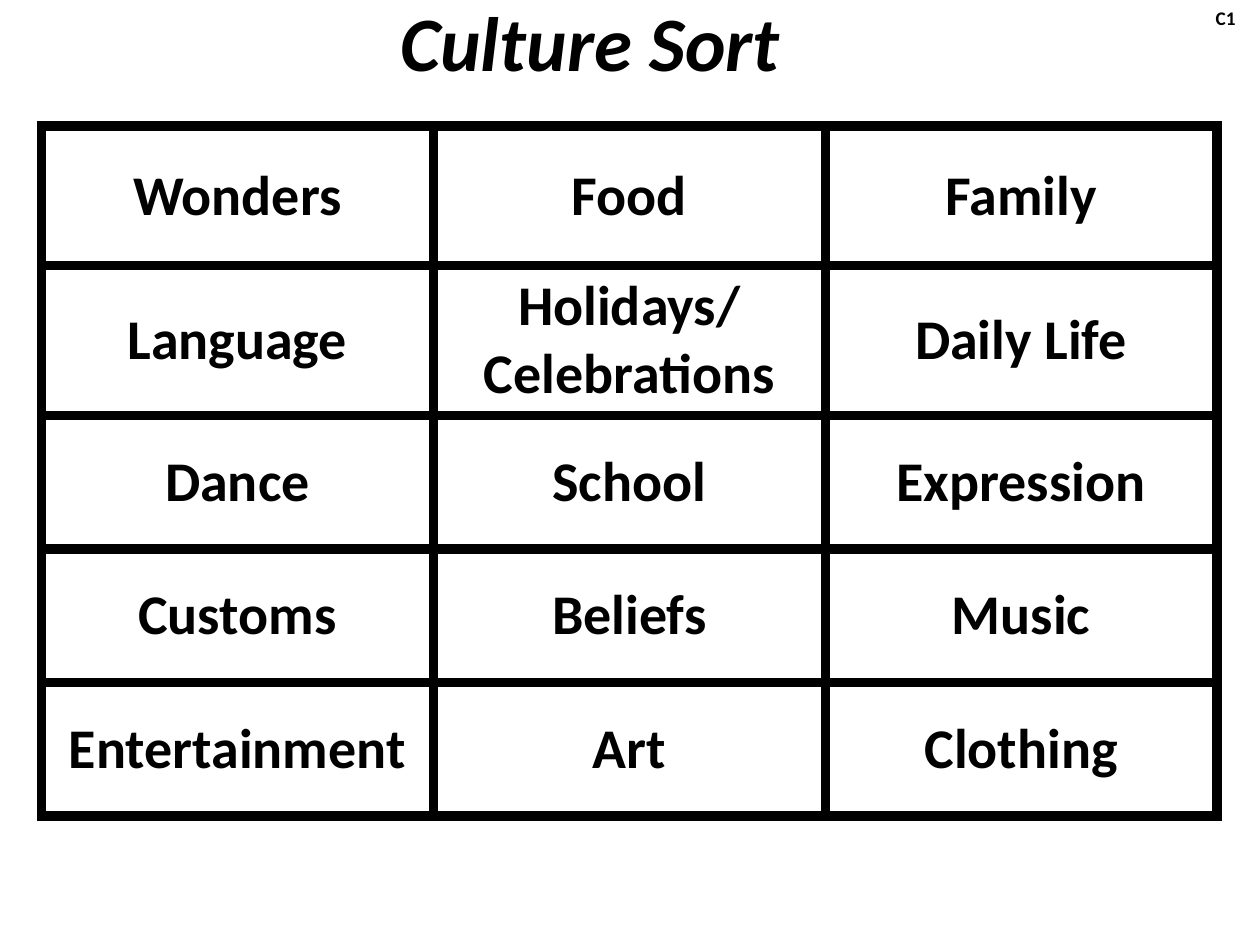
"""Build the Culture Sort slide with its grid of category cards."""
from dataclasses import dataclass

from lxml.etree import SubElement
from pptx import Presentation
from pptx.dml.color import RGBColor
from pptx.enum.text import MSO_ANCHOR as Anchor, MSO_AUTO_SIZE as AutoSize, PP_ALIGN as Align
from pptx.oxml.ns import qn
from pptx.util import Inches, Pt

BLACK = RGBColor(0x00, 0x00, 0x00)
WHITE = RGBColor(0xFF, 0xFF, 0xFF)
FONT = "Calibri"
BORDER_WIDTH = Pt(6)
COLUMN_WIDTH = 3.11
HEADING_ROW_HEIGHT = 1.11
ROW_HEIGHT = 1.06

CATEGORIES = [
    ["Wonders", "Food", "Family"],
    ["Language", "Holidays/ Celebrations", "Daily Life"],
    ["Dance", "School", "Expression"],
    ["Customs", "Beliefs", "Music"],
    ["Entertainment", "Art", "Clothing"],
]


@dataclass
class Label:
    text: str
    left: float
    top: float
    width: float
    height: float
    size: int
    italic: bool = False


LABELS = [
    Label("Culture Sort", 3.08, -0.09, 3.25, 0.84, 44, italic=True),
    Label("C1", 9.55, 0, 0.36, 0.29, 11),
]


def add_run(paragraph, text: str, size: int, italic: bool = False) -> None:
    run = paragraph.add_run()
    run.text = text
    run.font.name = FONT
    run.font.size = Pt(size)
    run.font.bold = True
    run.font.italic = italic
    run.font.color.rgb = BLACK


def add_label(slide, label: Label) -> None:
    shape = slide.shapes.add_textbox(
        Inches(label.left), Inches(label.top), Inches(label.width), Inches(label.height)
    )
    frame = shape.text_frame
    frame.word_wrap = False
    frame.auto_size = AutoSize.SHAPE_TO_FIT_TEXT
    add_run(frame.paragraphs[0], label.text, label.size, label.italic)


def add_borders(cell) -> None:
    properties = cell._tc.get_or_add_tcPr()
    for position, side in enumerate(("lnL", "lnR", "lnT", "lnB")):
        line = SubElement(properties, qn(f"a:{side}"), w=str(BORDER_WIDTH))
        fill = SubElement(line, qn("a:solidFill"))
        SubElement(fill, qn("a:srgbClr"), val=str(BLACK))
        properties.insert(position, line)


def fill_cell(cell, text: str) -> None:
    cell.fill.solid()
    cell.fill.fore_color.rgb = WHITE
    cell.vertical_anchor = Anchor.MIDDLE
    paragraph = cell.text_frame.paragraphs[0]
    paragraph.alignment = Align.CENTER
    add_run(paragraph, text, 32)
    add_borders(cell)


def add_category_table(slide) -> None:
    row_count, column_count = len(CATEGORIES), len(CATEGORIES[0])
    height = HEADING_ROW_HEIGHT + ROW_HEIGHT * (row_count - 1)
    table = slide.shapes.add_table(
        row_count, column_count, Inches(0.33), Inches(1),
        Inches(COLUMN_WIDTH * column_count), Inches(height),
    ).table
    for column in table.columns:
        column.width = Inches(COLUMN_WIDTH)
    for row_index, names in enumerate(CATEGORIES):
        row = table.rows[row_index]
        row.height = Inches(ROW_HEIGHT if row_index else HEADING_ROW_HEIGHT)
        for cell, name in zip(row.cells, names):
            fill_cell(cell, name)


def main() -> None:
    presentation = Presentation()
    presentation.slide_width = Inches(10)
    presentation.slide_height = Inches(7.5)
    slide = presentation.slides.add_slide(presentation.slide_layouts[6])
    add_category_table(slide)
    for label in LABELS:
        add_label(slide, label)
    presentation.save("out.pptx")


main()
